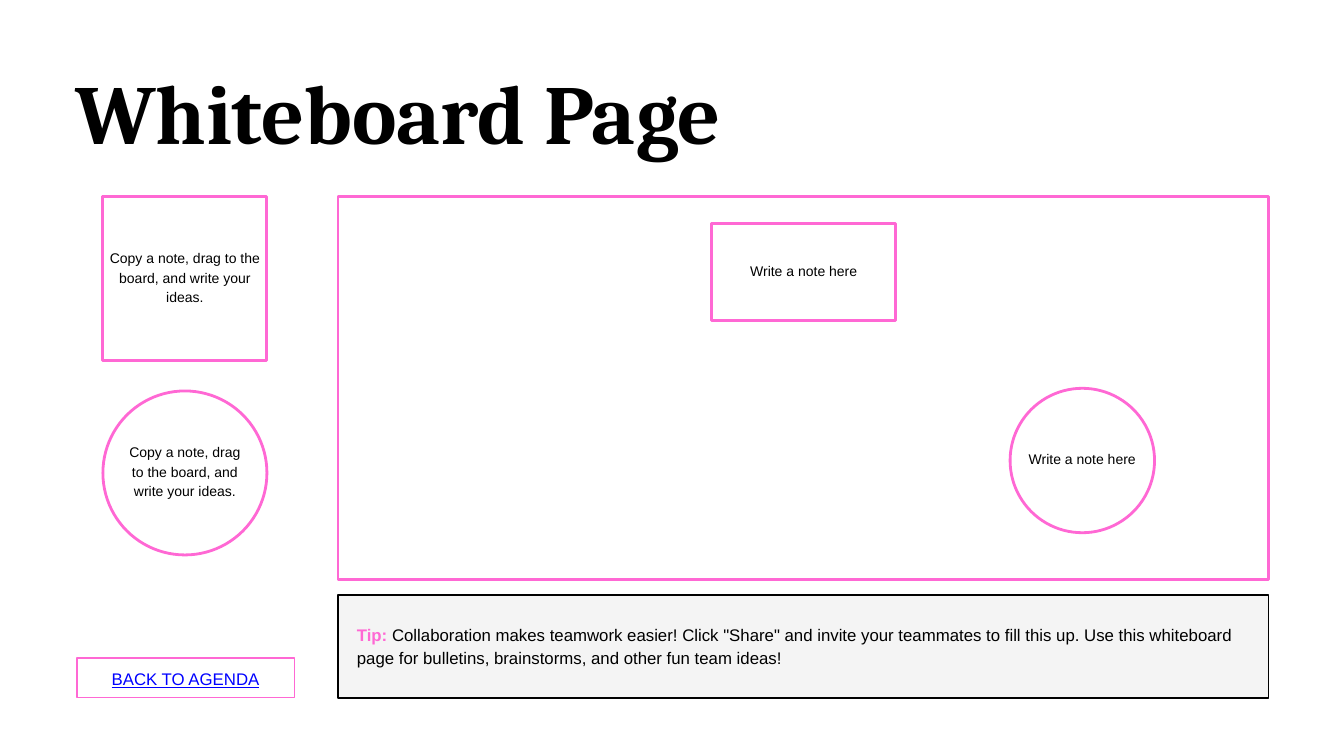
from dataclasses import dataclass

from pptx import Presentation
from pptx.dml.color import RGBColor
from pptx.enum.shapes import MSO_SHAPE
from pptx.enum.text import MSO_ANCHOR, MSO_AUTO_SIZE, PP_ALIGN
from pptx.util import Cm, Pt


@dataclass(frozen=True)
class Theme:
    """Colours, fonts and type sizes of the whiteboard page."""
    pink: RGBColor = RGBColor(0xFF, 0x68, 0xD4)
    black: RGBColor = RGBColor(0, 0, 0)
    white: RGBColor = RGBColor(0xFF, 0xFF, 0xFF)
    grey: RGBColor = RGBColor(0xF4, 0xF4, 0xF4)
    blue: RGBColor = RGBColor(0, 0, 0xFF)
    heading_font: str = "Cambria"
    body_font: str = "Arial"
    title_size: float = 90
    body_size: float = 18
    note_size: float = 15


THEME = Theme()
COPY_PROMPT = "Copy a note, drag to the board, and write your ideas."
WRITE_PROMPT = "Write a note here"
TIP = ('Collaboration makes teamwork easier! Click "Share" and invite your teammates '
       "to fill this up. Use this whiteboard page for bulletins, brainstorms, "
       "and other fun team ideas!")


def style_run(run, font_name, size, color, bold=False, underline=False):
    """Format one run."""
    font = run.font
    font.name, font.size, font.color.rgb = font_name, Pt(size), color
    font.bold, font.underline = bold, underline


def set_insets(frame, side, lift=0.0):
    """Set equal insets, with a deeper bottom one that lifts centred text."""
    frame.margin_left = frame.margin_right = frame.margin_top = Cm(side)
    frame.margin_bottom = Cm(side + lift)


def add_panel(slide, preset, left, top, width, height,
              fill=THEME.white, line=THEME.pink, weight=3):
    """Add an outlined panel."""
    panel = slide.shapes.add_shape(preset, Cm(left), Cm(top), Cm(width), Cm(height))
    panel.shadow.inherit = False
    panel.fill.solid()
    panel.fill.fore_color.rgb = fill
    panel.line.color.rgb = line
    panel.line.width = Pt(weight)
    panel.text_frame.word_wrap = True
    panel.text_frame.vertical_anchor = MSO_ANCHOR.MIDDLE
    return panel


def add_note(slide, preset, left, top, width, height, prompt, wraps=True):
    """Add a sticky note with a centred prompt."""
    frame = add_panel(slide, preset, left, top, width, height).text_frame
    frame.word_wrap = wraps
    set_insets(frame, 0 if preset == MSO_SHAPE.OVAL else 0.15, lift=0.2)
    paragraph = frame.paragraphs[0]
    paragraph.text = prompt
    paragraph.alignment = PP_ALIGN.CENTER
    paragraph.line_spacing = Pt(21)
    style_run(paragraph.runs[0], THEME.body_font, THEME.note_size, THEME.black)


def add_title(slide):
    """Place and format the page title."""
    title = slide.shapes.title
    title.left, title.top, title.width, title.height = Cm(2.84), Cm(2.29), Cm(30.1), Cm(3.81)
    frame = title.text_frame
    frame.text = "Whiteboard Page"
    frame.auto_size = MSO_AUTO_SIZE.NONE
    frame.vertical_anchor = MSO_ANCHOR.TOP
    set_insets(frame, 0)
    paragraph = frame.paragraphs[0]
    paragraph.alignment = PP_ALIGN.LEFT
    paragraph.line_spacing = Pt(108)
    style_run(paragraph.runs[0], THEME.heading_font, THEME.title_size, THEME.black, bold=True)


def add_tip(slide, left, top, width, height):
    """Add the tip bar with its highlighted label."""
    frame = add_panel(slide, MSO_SHAPE.RECTANGLE, left, top, width, height,
                      THEME.grey, THEME.black, 1.5).text_frame
    set_insets(frame, 0.71, lift=0.15)
    paragraph = frame.paragraphs[0]
    paragraph.alignment = PP_ALIGN.LEFT
    paragraph.line_spacing = Pt(25.2)
    for wording, color, bold in (("Tip: ", THEME.pink, True), (TIP, THEME.black, False)):
        run = paragraph.add_run()
        run.text = wording
        style_run(run, THEME.body_font, THEME.body_size, color, bold)


def add_agenda_button(slide, left, top, width, height):
    """Add the button that points back to the agenda."""
    frame = add_panel(slide, MSO_SHAPE.RECTANGLE, left, top, width, height, weight=1.8).text_frame
    set_insets(frame, 0)
    paragraph = frame.paragraphs[0]
    paragraph.text = "BACK TO AGENDA"
    paragraph.alignment = PP_ALIGN.CENTER
    paragraph.line_spacing = Pt(23.4)
    style_run(paragraph.runs[0], THEME.body_font, THEME.body_size, THEME.blue, underline=True)


def main():
    """Build the whiteboard page."""
    presentation = Presentation()
    presentation.slide_width, presentation.slide_height = Cm(50.8), Cm(28.58)
    slide = presentation.slides.add_slide(presentation.slide_layouts[5])
    board_left, board_top, board_width = 12.78, 7.44, 35.16
    sample_left, sample_size = 3.89, 6.2

    add_title(slide)
    add_panel(slide, MSO_SHAPE.RECTANGLE, board_left, board_top, board_width, 14.47)
    add_note(slide, MSO_SHAPE.RECTANGLE, 26.9, 8.46, 6.96, 3.66, WRITE_PROMPT)
    add_note(slide, MSO_SHAPE.OVAL, 38.18, 14.68, 5.46, 5.46, WRITE_PROMPT, wraps=False)
    add_tip(slide, board_left, 22.5, board_width, 3.89)
    add_agenda_button(slide, 2.9, 24.87, 8.23, 1.5)
    for preset, top in ((MSO_SHAPE.RECTANGLE, board_top), (MSO_SHAPE.OVAL, 14.78)):
        add_note(slide, preset, sample_left, top, sample_size, sample_size, COPY_PROMPT)
    presentation.save("out.pptx")


if __name__ == "__main__":
    main()
